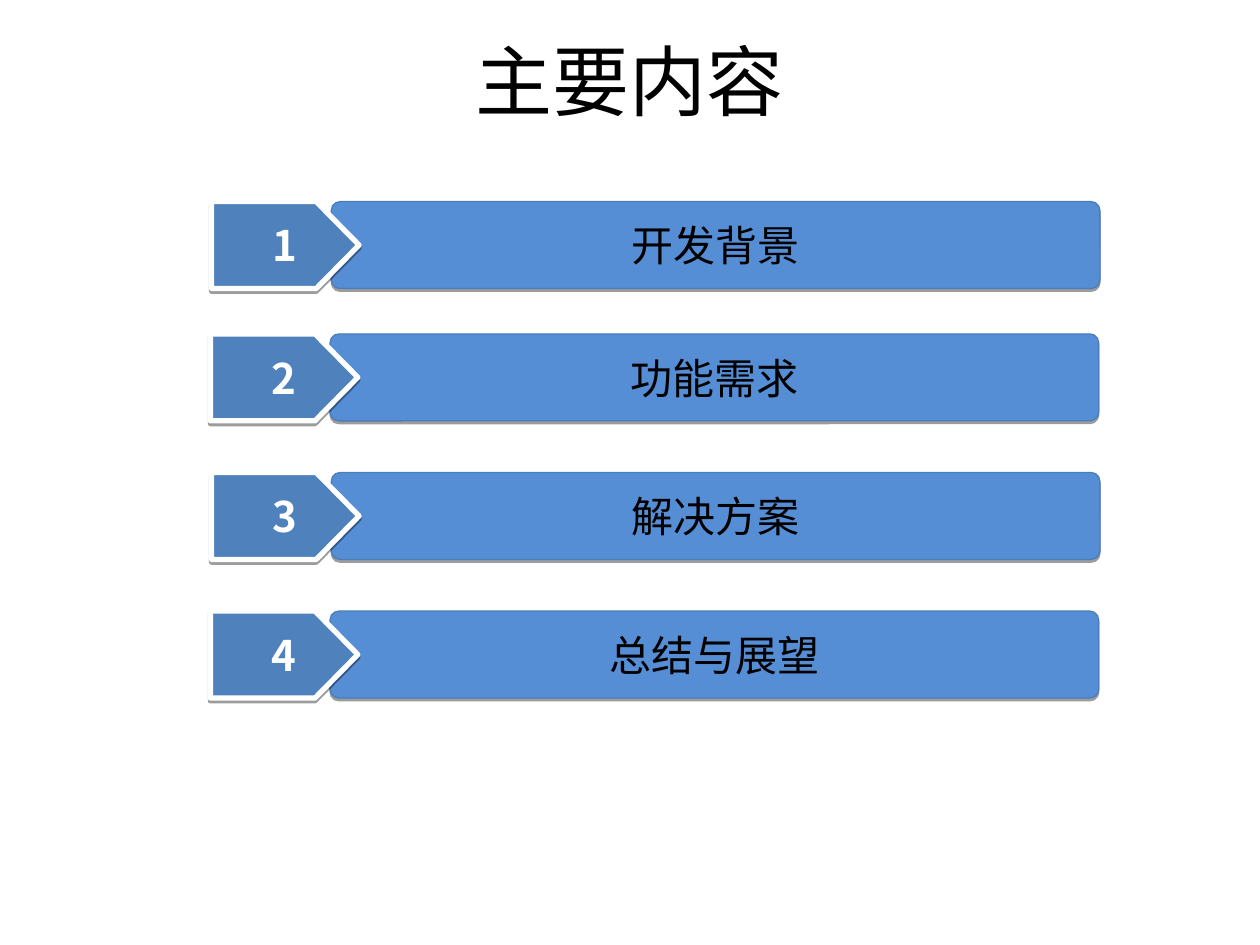
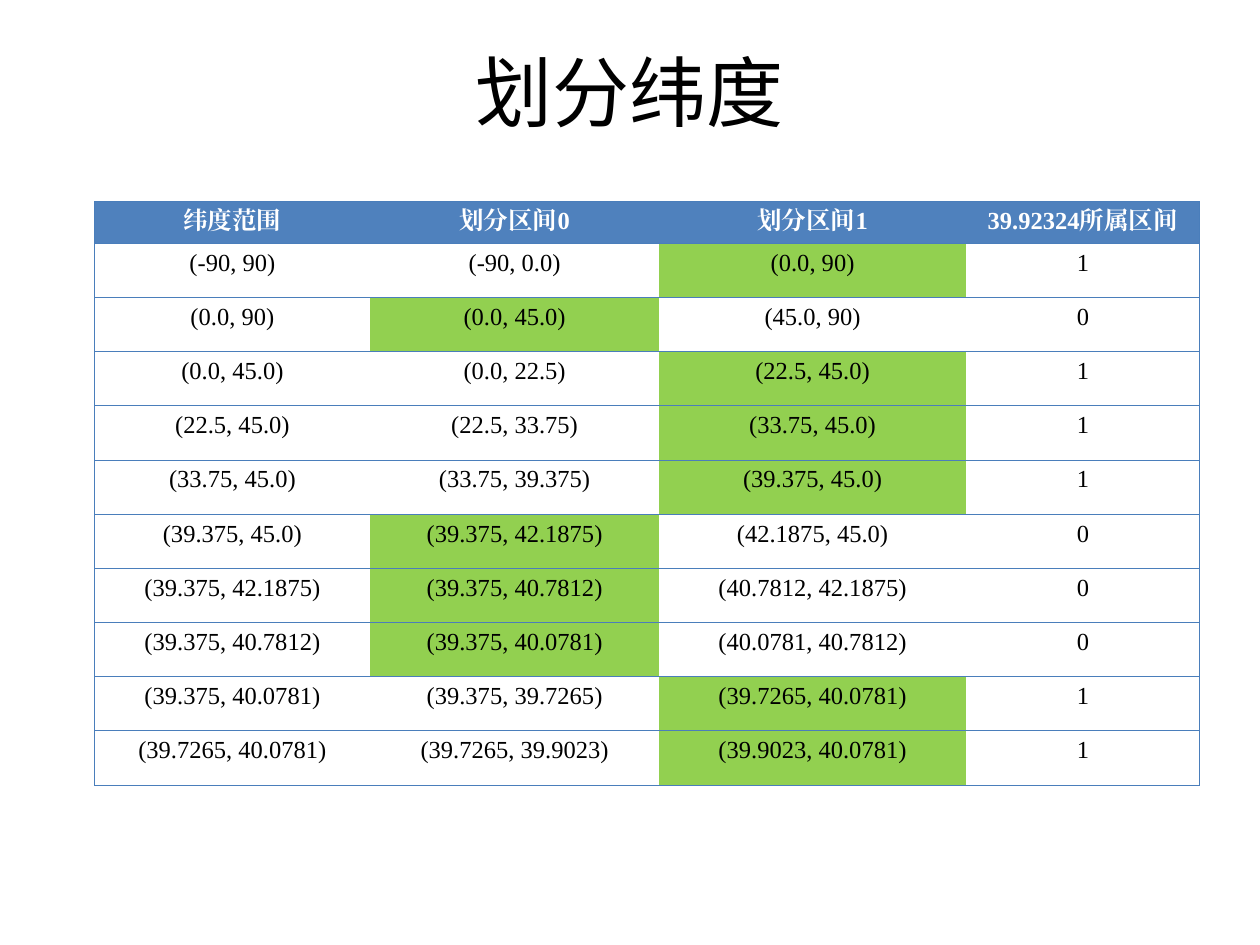
"""Build the agenda slide and the latitude bisection slide."""
import dataclasses

import lxml.etree
import pptx
import pptx.dml.color
import pptx.enum.shapes
import pptx.enum.text
import pptx.oxml.ns
import pptx.util

Inches = pptx.util.Inches
Pt = pptx.util.Pt
qn = pptx.oxml.ns.qn

BLACK, WHITE = "000000", "FFFFFF"
BLUE, BAR_BLUE, LINE_BLUE, GREEN = "4F81BD", "558ED5", "4A7EBB", "92D050"
TITLE_FONT, LABEL_FONT, TABLE_FONT = "Arial", "Noto Sans CJK SC", "Times New Roman"
NO_GRID_STYLE = "{2D5ABB26-0587-4C30-8999-92F81FD0307C}"

TAG_WIDTH, TAG_SHOULDER, ROW_HEIGHT = 1.17, 0.83, 0.69
BAR_OFFSET, BAR_WIDTH = 0.95, 6.1

HEADERS = ["纬度范围", "划分区间0", "划分区间1", "39.92324所属区间"]
COLUMN_WIDTHS = [2.19, 2.29, 2.44, 1.85]
HEADER_HEIGHT, BODY_HEIGHT = 0.33, 0.43
SPLITS = [
    ("0.0", 1), ("45.0", 0), ("22.5", 1), ("33.75", 1), ("39.375", 1),
    ("42.1875", 0), ("40.7812", 0), ("40.0781", 0), ("39.7265", 1), ("39.9023", 1),
]


@dataclasses.dataclass
class AgendaItem:
    number: str
    label: str
    left: float
    top: float


AGENDA = [
    AgendaItem("1", "开发背景", 1.68, 1.6),
    AgendaItem("2", "功能需求", 1.67, 2.65),
    AgendaItem("3", "解决方案", 1.68, 3.75),
    AgendaItem("4", "总结与展望", 1.67, 4.85),
]


def rgb(color: str) -> pptx.dml.color.RGBColor:
    return pptx.dml.color.RGBColor.from_string(color)


def set_text(tf, text: str, font: str, size: float, color: str, bold: bool = False) -> None:
    tf.text = text
    p = tf.paragraphs[0]
    p.alignment = pptx.enum.text.PP_ALIGN.CENTER
    r = p.runs[0]
    r.font.name, r.font.size, r.font.bold = font, Pt(size), bold
    r.font.color.rgb = rgb(color)
    ea = lxml.etree.SubElement(r.font._element, qn("a:ea"))
    ea.set("typeface", font)


def add_title_slide(prs, title: str, top: float, height: float, anchor):
    s = prs.slides.add_slide(prs.slide_layouts[5])
    sp = s.shapes.title
    sp.left, sp.top = Inches(0.5), Inches(top)
    sp.width, sp.height = Inches(9), Inches(height)
    tf = sp.text_frame
    tf.auto_size = pptx.enum.text.MSO_AUTO_SIZE.NONE
    tf.vertical_anchor = anchor
    set_text(tf, title, TITLE_FONT, 44, BLACK)
    return s


def style_shape(sp, fill: str, line: str, line_width: float) -> None:
    sp.fill.solid()
    sp.fill.fore_color.rgb = rgb(fill)
    sp.line.color.rgb = rgb(line)
    sp.line.width = Pt(line_width)
    sp.shadow.inherit = False
    effects = sp._element.spPr.find(qn("a:effectLst"))
    shadow = lxml.etree.SubElement(effects, qn("a:outerShdw"), dist=str(Pt(1.6)),
                                   dir="5400000", rotWithShape="0")
    color = lxml.etree.SubElement(shadow, qn("a:srgbClr"), val=BLACK)
    lxml.etree.SubElement(color, qn("a:alpha"), val="38000")


def set_label(sp, text: str, color: str, bold: bool = False) -> None:
    tf = sp.text_frame
    tf.margin_left = tf.margin_right = tf.margin_top = tf.margin_bottom = 0
    tf.vertical_anchor = pptx.enum.text.MSO_ANCHOR.MIDDLE
    set_text(tf, text, LABEL_FONT, 24, color, bold)


def add_agenda_item(s, item: AgendaItem) -> None:
    bar = s.shapes.add_shape(
        pptx.enum.shapes.MSO_SHAPE.ROUNDED_RECTANGLE,
        Inches(item.left + BAR_OFFSET), Inches(item.top), Inches(BAR_WIDTH), Inches(ROW_HEIGHT))
    bar.adjustments[0] = 0.1
    style_shape(bar, BAR_BLUE, LINE_BLUE, 0.75)
    set_label(bar, item.label, BLACK)

    left, top, bottom = item.left, item.top, item.top + ROW_HEIGHT
    shoulder, tip = left + TAG_SHOULDER, left + TAG_WIDTH
    outline = [(shoulder, top), (tip, top + ROW_HEIGHT / 2), (shoulder, bottom), (left, bottom)]
    builder = s.shapes.build_freeform(Inches(left), Inches(top))
    builder.add_line_segments([(Inches(x), Inches(y)) for x, y in outline], close=True)
    tag = builder.convert_to_shape()
    style_shape(tag, BLUE, WHITE, 3)
    set_label(tag, item.number, WHITE, bold=True)


def bisection_rows() -> list[list[str]]:
    low, high = "-90", "90"
    rows = []
    for middle, bit in SPLITS:
        rows.append([f"({low}, {high})", f"({low}, {middle})", f"({middle}, {high})", str(bit)])
        low, high = (middle, high) if bit else (low, middle)
    return rows


def set_borders(cell, sides: str) -> None:
    tc_pr = cell._tc.get_or_add_tcPr()
    for side in sides:
        ln = lxml.etree.SubElement(tc_pr, qn(f"a:ln{side}"), w=str(Pt(0.34)))
        fill = lxml.etree.SubElement(ln, qn("a:solidFill"))
        lxml.etree.SubElement(fill, qn("a:srgbClr"), val=LINE_BLUE)


def fill_cell(cell, text: str, fill: str | None, sides: str, header: bool) -> None:
    set_borders(cell, sides)
    if fill:
        cell.fill.solid()
        cell.fill.fore_color.rgb = rgb(fill)
    else:
        cell.fill.background()
    cell.margin_left = cell.margin_right = Inches(0.1 if header else 0.08)
    set_text(cell.text_frame, text, TABLE_FONT, 14, WHITE if header else BLACK, header)


def add_bisection_table(s) -> None:
    rows = [HEADERS] + bisection_rows()
    height = HEADER_HEIGHT + BODY_HEIGHT * len(SPLITS)
    table = s.shapes.add_table(len(rows), len(HEADERS), Inches(0.75), Inches(1.6),
                               Inches(sum(COLUMN_WIDTHS)), Inches(height)).table
    table.first_row = table.horz_banding = False
    table._tbl.tblPr.find(qn("a:tableStyleId")).text = NO_GRID_STYLE
    for column, width in zip(table.columns, COLUMN_WIDTHS):
        column.width = Inches(width)
    for i, texts in enumerate(rows):
        header = i == 0
        table.rows[i].height = Inches(HEADER_HEIGHT if header else BODY_HEIGHT)
        chosen = None if header else 1 + SPLITS[i - 1][1]
        for j, text in enumerate(texts):
            fill = BLUE if header else GREEN if j == chosen else None
            sides = {0: "LTB", len(texts) - 1: "RTB"}.get(j, "TB")
            fill_cell(table.cell(i, j), text, fill, sides, header)


def main() -> None:
    prs = pptx.Presentation()
    prs.slide_width, prs.slide_height = Inches(10), Inches(7.5)

    s = add_title_slide(prs, "主要内容", 0.36, 0.55, pptx.enum.text.MSO_ANCHOR.MIDDLE)
    for item in AGENDA:
        add_agenda_item(s, item)

    s = add_title_slide(prs, "划分纬度", 0.3, 0.69, pptx.enum.text.MSO_ANCHOR.TOP)
    add_bisection_table(s)

    prs.save("out.pptx")


if __name__ == "__main__":
    main()
